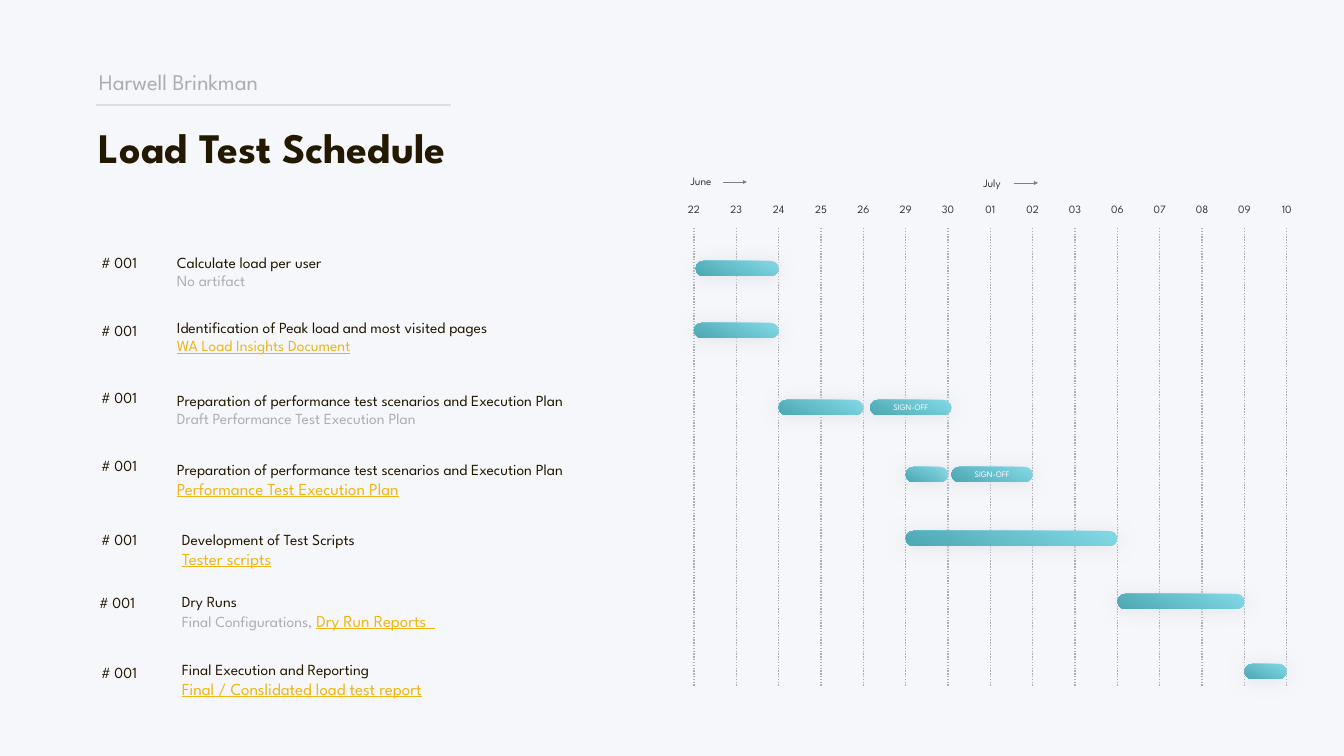
from lxml.etree import SubElement
from pptx import Presentation
from pptx.dml.color import RGBColor
from pptx.enum.dml import MSO_LINE
from pptx.enum.shapes import MSO_CONNECTOR, MSO_SHAPE
from pptx.enum.text import MSO_ANCHOR, MSO_AUTO_SIZE, PP_ALIGN
from pptx.oxml.ns import qn
from pptx.util import Emu, Pt

COMPANY = "Harwell Brinkman"
TITLE = "Load Test Schedule"
DAYS = ["22", "23", "24", "25", "26", "29", "30", "01", "02", "03", "06", "07", "08", "09", "10"]
MONTHS = [("June", 679, 172, 723, 182), ("July", 970, 174, 1014, 183)]
NOTE, LINK, BIG_LINK = "note", "link", "big_link"
PLAN = "Preparation of performance test scenarios and Execution Plan"
TASKS = [
    dict(number=(60, 250), text=(174, 250), name="Calculate load per user",
         outputs=[("No artifact", NOTE)], bars=[(0.04, 2, 261, "")]),
    dict(number=(60, 318), text=(174, 315), name="Identification of Peak load and most visited pages",
         outputs=[("WA Load Insights Document", LINK)], bars=[(0, 2, 323, "")]),
    dict(number=(60, 385), text=(174, 388), name=PLAN,
         outputs=[("Draft Performance Test Execution Plan", NOTE)],
         bars=[(2, 4, 400, ""), (4.16, 6.08, 400, "SIGN-OFF")]),
    dict(number=(60, 453), text=(174, 457), name=PLAN,
         outputs=[("Performance Test Execution Plan", BIG_LINK)],
         bars=[(5, 6, 467, ""), (6.08, 8, 467, "SIGN-OFF")]),
    dict(number=(60, 527), text=(179, 527), name="Development of Test Scripts",
         outputs=[("Tester scripts", BIG_LINK)], bars=[(5, 10, 531, "")]),
    dict(number=(58, 590), text=(179, 589), name="Dry Runs",
         outputs=[("Final Configurations, ", NOTE), ("Dry Run Reports  ", BIG_LINK)],
         bars=[(10, 13, 594, "")]),
    dict(number=(60, 660), text=(179, 657), name="Final Execution and Reporting",
         outputs=[("Final / Conslidated load test report", BIG_LINK)], bars=[(13, 14, 664, "")]),
]
THEME = dict(
    font="League Spartan", background="F5F7FA", ink="231800", muted="ADACB4", accent="F0B516",
    day="363940", rule="DEDDE1", arrow="7E7D8B", light="83D9E5", dark="4FAAB6",
    shadow="E3E4ED", white="FFFFFF",
    title=60, company=32, body=22, big=24, small=16, tag=12)
STYLES = {NOTE: ("body", "muted", None), LINK: ("body", "accent", True), BIG_LINK: ("big", "accent", True)}
GRID_X, GRID_STEP, GRID_TOP, GRID_BOTTOM = 694, 42.34, 228, 687
BAR_H = 15


def px(value):
    return Emu(round(value * 18143))


def color(name):
    return RGBColor.from_string(THEME[name])


def style(font, size, ink, bold=None, underline=None):
    font.name = THEME["font"]
    font.size = Pt(THEME[size])
    font.color.rgb = color(ink)
    font.bold = bold
    font.underline = underline


def frame(sp, anchor=MSO_ANCHOR.TOP, inset=3):
    tf = sp.text_frame
    tf.word_wrap = True
    tf.auto_size = MSO_AUTO_SIZE.NONE
    tf.vertical_anchor = anchor
    tf.margin_left = tf.margin_right = tf.margin_top = tf.margin_bottom = px(inset)
    return tf


def write(p, text, size, ink, align=PP_ALIGN.LEFT, spacing=None, bold=None):
    p.text = text
    p.alignment = align
    p.line_spacing = spacing
    style(p.font, size, ink, bold)


def textbox(x, y, w, h, anchor=MSO_ANCHOR.TOP):
    return frame(slide.shapes.add_textbox(px(x), px(y), px(w), px(h)), anchor)


def line(x1, y1, x2, y2, ink, width, dash=None, arrow=False):
    cn = slide.shapes.add_connector(MSO_CONNECTOR.STRAIGHT, px(x1), px(y1), px(x2), px(y2))
    cn.line.color.rgb = color(ink)
    cn.line.width = Pt(width)
    if dash:
        cn.line.dash_style = dash
    if arrow:
        SubElement(cn.line._get_or_add_ln(), qn("a:tailEnd"), type="triangle")
    SubElement(cn._element.spPr, qn("a:effectLst"))


def grid_x(column):
    return GRID_X + column * GRID_STEP


def bar(start, end, y, tag):
    x = grid_x(start)
    sp = slide.shapes.add_shape(MSO_SHAPE.ROUNDED_RECTANGLE, px(x), px(y), px(grid_x(end) - x), px(BAR_H))
    sp.adjustments[0] = 0.5
    sp.line.fill.background()
    sp.fill.gradient()
    sp.fill.gradient_angle = 244
    for stop, ink, position in zip(sp.fill.gradient_stops, ("light", "dark"), (0, 0.96)):
        stop.color.rgb = color(ink)
        stop.position = position
    sp.shadow.inherit = False
    effects = sp._element.spPr.find(qn("a:effectLst"))
    shadow = SubElement(effects, qn("a:outerShdw"), blurRad=str(Pt(27)), dist=str(Pt(2)),
                        dir="5400000", algn="ctr", rotWithShape="0")
    SubElement(shadow, qn("a:srgbClr"), val=THEME["shadow"])
    if tag:
        write(frame(sp, MSO_ANCHOR.MIDDLE, 0).paragraphs[0], tag, "tag", "white", PP_ALIGN.CENTER)


prs = Presentation()
prs.slide_width, prs.slide_height = px(1344), px(756)
slide = prs.slides.add_slide(prs.slide_layouts[5])
slide.background.fill.solid()
slide.background.fill.fore_color.rgb = color("background")

title = slide.shapes.title
title.left, title.top, title.width, title.height = px(96), px(93), px(573), px(82)
write(frame(title).paragraphs[0], TITLE, "title", "ink", spacing=1.5, bold=True)
write(textbox(96, 52, 573, 46).paragraphs[0], COMPANY, "company", "muted", spacing=1.5)
line(96, 105, 451, 105, "rule", 2)

for column, day in enumerate(DAYS):
    x = grid_x(column)
    line(x, GRID_TOP, x, GRID_BOTTOM, "muted", 2, MSO_LINE.ROUND_DOT)
    write(textbox(x - 22, 200, 44, 18, MSO_ANCHOR.MIDDLE).paragraphs[0], day, "small", "day", PP_ALIGN.CENTER)

for month, x, y, arrow_x, arrow_y in MONTHS:
    write(textbox(x, y, 44, 19, MSO_ANCHOR.MIDDLE).paragraphs[0], month, "small", "day", PP_ALIGN.CENTER)
    line(arrow_x, arrow_y, arrow_x + 24, arrow_y, "arrow", 0.5, arrow=True)

for task in TASKS:
    write(textbox(*task["number"], 80, 24).paragraphs[0], "# 001", "body", "ink", PP_ALIGN.RIGHT)
    tf = textbox(*task["text"], 500, 44)
    write(tf.paragraphs[0], task["name"], "body", "ink")
    p = tf.add_paragraph()
    for text, kind in task["outputs"]:
        r = p.add_run()
        r.text = text
        size, ink, underline = STYLES[kind]
        style(r.font, size, ink, underline=underline)
    for span in task["bars"]:
        bar(*span)

prs.save("out.pptx")
